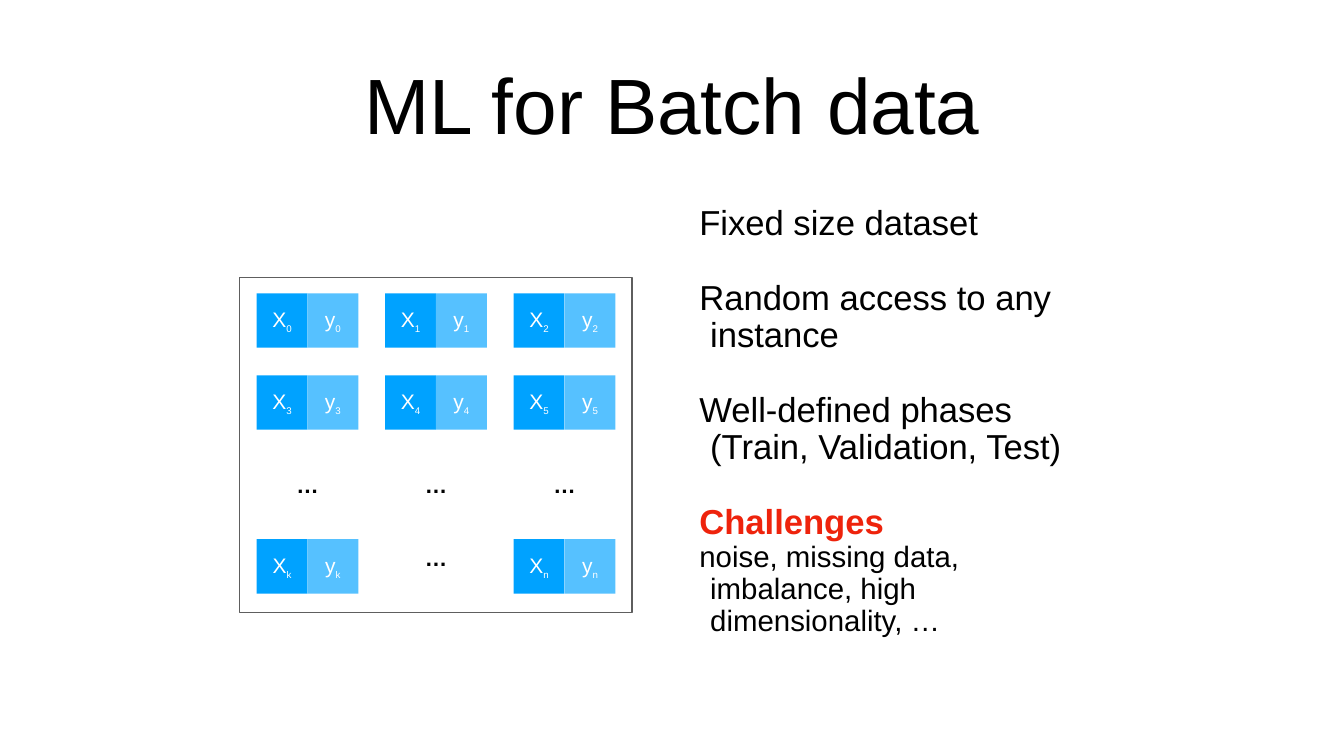
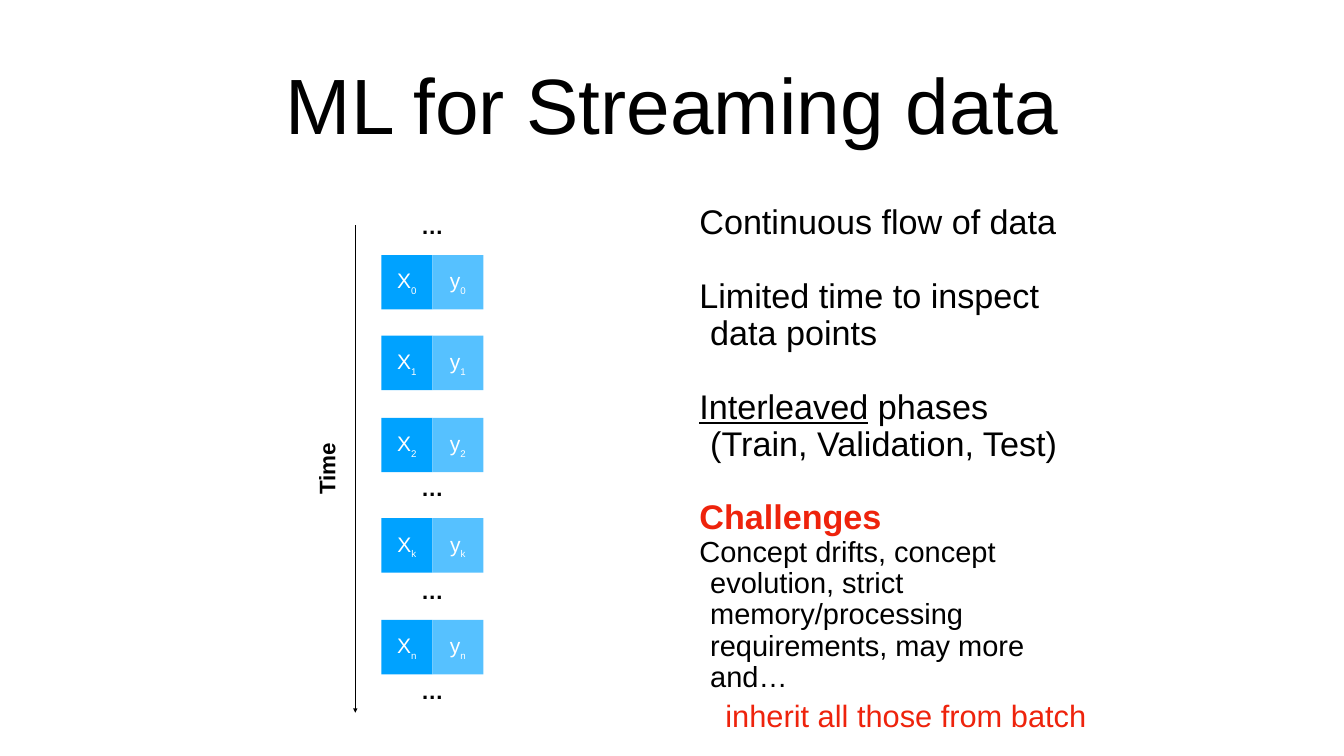
"""Build two slides comparing machine learning on batch and on streaming data."""
from lxml import etree
from pptx import Presentation
from pptx import util as u
from pptx.dml.color import RGBColor
from pptx.enum import shapes, text
from pptx.oxml import ns

COLORS = {
    "ink": "000000",
    "white": "FFFFFF",
    "feature": "00A2FF",
    "target": "56C1FF",
    "frame": "5E5E5E",
    "alert": "EE230C",
}
FONT = "Arial"
INSET = 6
CELL_WIDTH, CELL_HEIGHT = 72.75, 77.75
LABEL_HEIGHT = 49.7
TITLE_BOX = (345.6, 28, 1229, 239)
BODY_LEFT, BODY_TOP, BODY_WIDTH = 982.8, 287.3, 591.8
BODY_SPACING = 0.9
LINE_HEIGHT = 1.08

BATCH_ROWS = [["0", "1", "2"], ["3", "4", "5"], ["…", "…", "…"], ["k", "…", "n"]]
STREAM_PAIRS = {"0": 67, "1": 182.2, "2": 299.6, "k": 442.9, "n": 588.3}
STREAM_DOTS = [25, 399.3, 546.2, 689.5]

BATCH_POINTS = [
    [("Fixed size dataset", "plain")],
    [("Random access to any instance", "plain")],
    [("Well-defined phases (Train, Validation, Test)", "plain")],
]
BATCH_CHALLENGES = "noise, missing data, imbalance, high dimensionality, …"
STREAM_POINTS = [
    [("Continuous flow of data", "plain")],
    [("Limited time to inspect data points", "plain")],
    [("Interleaved", "underline"), (" phases \v(Train, Validation, Test)", "plain")],
]
STREAM_CHALLENGES = (
    "Concept drifts, concept evolution, strict memory/processing "
    "requirements, may more and…"
)


def rgb(name):
    """Return the named colour."""
    return RGBColor.from_string(COLORS[name])


def points(*lengths):
    """Convert numbers to lengths in points."""
    return [u.Pt(length) for length in lengths]


def set_frame(frame, anchor=text.MSO_ANCHOR.MIDDLE, wrap=True, fit=text.MSO_AUTO_SIZE.NONE):
    """Set the insets, anchor and wrapping of a text frame."""
    frame.margin_left = frame.margin_right = u.Pt(INSET)
    frame.margin_top = frame.margin_bottom = u.Pt(INSET)
    frame.vertical_anchor = anchor
    frame.word_wrap = wrap
    frame.auto_size = fit


def add_run(paragraph, words, size, color="ink", bold=False, underline=False):
    """Add formatted words, with a line break at each vertical tab."""
    for index, piece in enumerate(words.split("\v")):
        if index:
            paragraph.add_line_break()
        run = paragraph.add_run()
        run.text = piece
        font = run.font
        font.name, font.size, font.bold = FONT, u.Pt(size), bold
        font.underline = underline
        font.color.rgb = rgb(color)
    return run


def set_indent(paragraph, left, first):
    """Set the left margin and the first-line indent of a paragraph."""
    properties = paragraph._p.get_or_add_pPr()
    properties.set("marL", str(u.Pt(left)))
    properties.set("indent", str(u.Pt(first)))


def add_label(parent, center_x, center_y, words="…", width=44, rotation=0):
    """Add a bold label centred on a point."""
    label = parent.shapes.add_textbox(
        *points(center_x - width / 2, center_y - LABEL_HEIGHT / 2, width, LABEL_HEIGHT)
    )
    label.rotation = rotation
    set_frame(label.text_frame, wrap=False, fit=text.MSO_AUTO_SIZE.SHAPE_TO_FIT_TEXT)
    paragraph = label.text_frame.paragraphs[0]
    paragraph.alignment = text.PP_ALIGN.CENTER
    add_run(paragraph, words, 32, bold=True)


def add_pair(group, left, top, subscript):
    """Add the feature and target cells of one instance."""
    for index, (letter, color) in enumerate([("X", "feature"), ("y", "target")]):
        cell = group.shapes.add_shape(
            shapes.MSO_SHAPE.RECTANGLE,
            *points(left + index * CELL_WIDTH, top, CELL_WIDTH, CELL_HEIGHT),
        )
        cell.shadow.inherit = False
        cell.fill.solid()
        cell.fill.fore_color.rgb = rgb(color)
        cell.line.fill.background()
        set_frame(cell.text_frame)
        paragraph = cell.text_frame.paragraphs[0]
        paragraph.alignment = text.PP_ALIGN.CENTER
        add_run(paragraph, letter, 30, "white")
        run = add_run(paragraph, subscript, 24, "white")
        run._r.get_or_add_rPr().set("baseline", "-33000")


def add_dataset(slide, left, top, width, height):
    """Draw the framed grid of instances."""
    group = slide.shapes.add_group_shape()
    frame = group.shapes.add_shape(
        shapes.MSO_SHAPE.RECTANGLE, *points(left, top, width, height)
    )
    frame.shadow.inherit = False
    frame.fill.background()
    frame.line.color.rgb = rgb("frame")
    frame.line.width = u.Pt(2)
    column_pitch, row_pitch = 183.6, 117.1
    last = len(BATCH_ROWS) - 1
    for row, subscripts in enumerate(BATCH_ROWS):
        for column, subscript in enumerate(subscripts):
            x = left + 24.5 + column * column_pitch
            y = top + 22.3 + row * row_pitch
            if subscript == "…":
                lift = 12.6 if row == last else 0
                add_label(group, x + CELL_WIDTH, y + CELL_HEIGHT / 2 - lift)
            else:
                add_pair(group, x, y, subscript)


def add_stream(slide, left, top, height):
    """Draw the instances arriving along the time arrow."""
    pair_left = left + 122.5
    for subscript, offset in STREAM_PAIRS.items():
        add_pair(slide.shapes.add_group_shape(), pair_left, top + offset, subscript)
    for offset in STREAM_DOTS:
        add_label(slide, pair_left + CELL_WIDTH, top + offset)
    arrow_x, arrow_top, arrow_bottom = left + 85.1, top + 24.6, top + height
    arrow = slide.shapes.add_connector(
        shapes.MSO_CONNECTOR.STRAIGHT, *points(arrow_x, arrow_top, arrow_x, arrow_bottom)
    )
    arrow.line.color.rgb = rgb("ink")
    arrow.line.width = u.Pt(2)
    properties = arrow._element.spPr
    line = properties.find(ns.qn("a:ln"))
    etree.SubElement(line, ns.qn("a:tailEnd")).set("type", "triangle")
    etree.SubElement(properties, ns.qn("a:effectLst"))
    add_label(slide, left + 43.7, (arrow_top + arrow_bottom) / 2, "Time", 87, 270)


def add_body(slide, height, size, small_size, statements, challenges):
    """Add the statements and the challenges beside the drawing."""
    body = slide.shapes.add_textbox(*points(BODY_LEFT, BODY_TOP, BODY_WIDTH, height))
    frame = body.text_frame
    set_frame(frame, anchor=text.MSO_ANCHOR.TOP)
    entries = [(runs, size) for runs in statements]
    entries += [([("Challenges", "alert")], size), ([(challenges, "plain")], small_size)]
    for index, (runs, run_size) in enumerate(entries):
        paragraph = frame.add_paragraph() if index else frame.paragraphs[0]
        set_indent(paragraph, 25.75, -15.5)
        paragraph.line_spacing = BODY_SPACING
        paragraph.space_before = u.Pt(0)
        spaced = index < len(statements)
        paragraph.space_after = u.Pt(round(size * LINE_HEIGHT, 1) if spaced else 0)
        for words, style in runs:
            alert = style == "alert"
            color = "alert" if alert else "ink"
            add_run(paragraph, words, run_size, color, alert, style == "underline")


def add_note(slide, left, top, width, height):
    """Add the closing remark under the challenges."""
    note = slide.shapes.add_textbox(*points(left, top, width, height))
    set_frame(note.text_frame, fit=text.MSO_AUTO_SIZE.SHAPE_TO_FIT_TEXT)
    paragraph = note.text_frame.paragraphs[0]
    set_indent(paragraph, 34.5, -20.9)
    add_run(paragraph, "inherit all those from batch", 44, "alert")


def add_titled_slide(presentation, title):
    """Add a title-only slide and format its title."""
    slide = presentation.slides.add_slide(presentation.slide_layouts[5])
    shape = slide.shapes.title
    shape.left, shape.top, shape.width, shape.height = points(*TITLE_BOX)
    set_frame(shape.text_frame)
    paragraph = shape.text_frame.paragraphs[0]
    paragraph.alignment = text.PP_ALIGN.CENTER
    add_run(paragraph, title, 112)
    return slide


def main():
    """Build and save the presentation."""
    presentation = Presentation()
    presentation.slide_width, presentation.slide_height = points(1920, 1080)

    batch = add_titled_slide(presentation, "ML for Batch data")
    add_dataset(batch, 342, 396.7, 560.9, 478)
    add_body(batch, 696, 49.5, 42, BATCH_POINTS, BATCH_CHALLENGES)

    stream = add_titled_slide(presentation, "ML for Streaming data")
    add_stream(stream, 422.5, 297.3, 720.8)
    add_body(stream, 722, 48.8, 41.4, STREAM_POINTS, STREAM_CHALLENGES)
    add_note(stream, 1016.6, 991.4, 554.4, 59.8)

    presentation.save("out.pptx")


if __name__ == "__main__":
    main()
